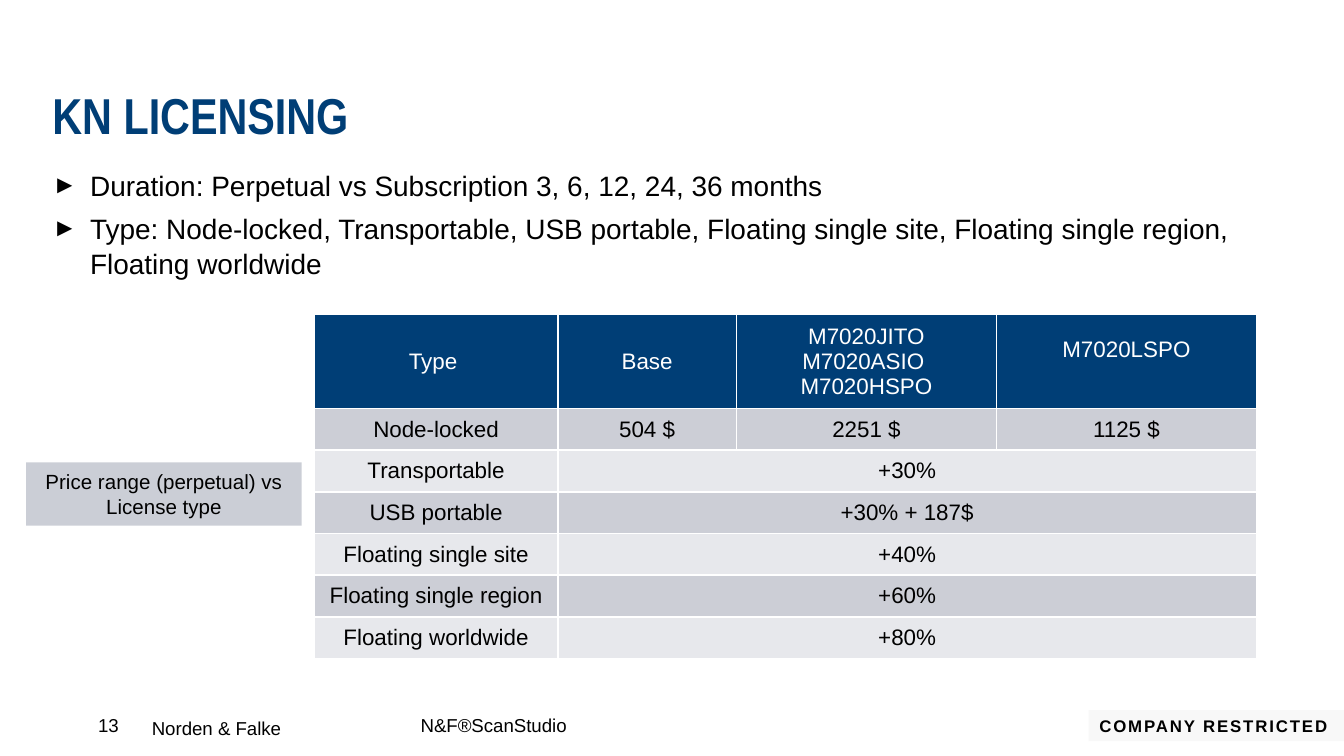
from dataclasses import dataclass
from typing import Any

from lxml.etree import SubElement
from pptx import Presentation
from pptx.dml.color import RGBColor
from pptx.enum.shapes import MSO_SHAPE
from pptx.enum.text import MSO_ANCHOR, MSO_AUTO_SIZE, PP_ALIGN
from pptx.oxml.ns import qn
from pptx.util import Emu, Inches, Pt

WIDTH = Inches(10)
HEIGHT = Emu(WIDTH * 9 // 16)
COLORS = {
    "navy": "003E76", "ink": "000000", "paper": "FFFFFF",
    "band_dark": "CCCED6", "band_light": "E7E8EC",
    "callout": "CBCED6", "stamp": "F8F8F8",
}
BULLETS = [
    "Duration: Perpetual vs Subscription 3, 6, 12, 24, 36 months",
    "Type: Node-locked, Transportable, USB portable, Floating single site, "
    "Floating single region, Floating worldwide",
]
PRICES = [
    ["Type ", "Base", "M7020JITO\vM7020ASIO \vM7020HSPO", "M7020LSPO"],
    ["Node-locked", "504 $", "2251 $", "1125 $"],
    ["Transportable", "+30%"],
    ["USB portable", "+30% + 187$"],
    ["Floating single site", "+40%"],
    ["Floating single region", "+60%"],
    ["Floating worldwide", "+80%"],
]
COLUMN_SHARES = [18.1, 13.3, 19.35, 19.35]
HEADER_SHARE, ROW_SHARE = 12.27, 5.51


@dataclass(frozen=True)
class Area:
    """Place and size in percent of the slide's width and height."""
    left: float
    top: float
    width: float
    height: float

    def lengths(self) -> tuple[Emu, Emu, Emu, Emu]:
        """Return left, top, width and height as lengths."""
        return (across(self.left), down(self.top),
                across(self.width), down(self.height))


@dataclass(frozen=True)
class Label:
    """A short text with its area and look."""
    text: str
    area: Area
    size: float
    fill: str | None = None
    align: PP_ALIGN = PP_ALIGN.LEFT
    bold: bool = False
    wrap: bool = False
    line_spacing: float = 1.0
    letter_spacing: int = 0
    insets: tuple[float, float] = (0, 0)


LABELS = [
    Label("Norden & Falke", Area(10, 94.2, 12.2, 3.02), 10,
          align=PP_ALIGN.CENTER, wrap=True, line_spacing=1.2),
    Label("N&F®ScanStudio", Area(31.3, 94.48, 32.3, 2.67), 10),
    Label("13", Area(7.3, 94.48, 2.8, 2.67), 10),
    Label("COMPANY RESTRICTED", Area(81, 93.95, 19, 4.09), 9, fill="stamp",
          bold=True, letter_spacing=100, insets=(0.08, 0.04)),
    Label("Price range (perpetual) vs License type",
          Area(1.95, 61.18, 20.5, 8.36), 11, fill="callout",
          align=PP_ALIGN.CENTER, wrap=True, insets=(0.1, 0.05)),
]


def across(percent: float) -> Emu:
    """Return a share of the slide's width."""
    return Emu(round(WIDTH * percent / 100))


def down(percent: float) -> Emu:
    """Return a share of the slide's height."""
    return Emu(round(HEIGHT * percent / 100))


def color(name: str) -> RGBColor:
    """Return a named color."""
    return RGBColor.from_string(COLORS[name])


def set_insets(frame: Any, horizontal: float, vertical: float) -> None:
    """Set the inner margins of a text frame in inches."""
    frame.margin_left = frame.margin_right = Inches(horizontal)
    frame.margin_top = frame.margin_bottom = Inches(vertical)


def style_runs(paragraph: Any, size: float, ink: str = "ink",
               bold: bool = False, face: str = "Arial") -> None:
    """Format every run of a paragraph."""
    for run in paragraph.runs:
        run.font.name, run.font.size, run.font.bold = face, Pt(size), bold
        run.font.color.rgb = color(ink)


def add_title(slide: Any, text: str, area: Area) -> None:
    """Fill and place the title placeholder."""
    title = slide.shapes.title
    title.left, title.top, title.width, title.height = area.lengths()
    frame = title.text_frame
    frame.text = text
    frame.auto_size = MSO_AUTO_SIZE.NONE
    frame.vertical_anchor = MSO_ANCHOR.BOTTOM
    set_insets(frame, 0, 0)
    heading = frame.paragraphs[0]
    heading.alignment, heading.line_spacing = PP_ALIGN.LEFT, 0.85
    style_runs(heading, 27, "navy", True, "Arial Narrow")


def add_bullets(slide: Any, items: list[str], area: Area) -> None:
    """Draw the list with arrow bullets."""
    frame = slide.shapes.add_textbox(*area.lengths()).text_frame
    frame.word_wrap = True
    set_insets(frame, 0, 0)
    frame.text = "\n".join(items)
    for item in frame.paragraphs:
        item.line_spacing, item.space_after = 1.05, Pt(4)
        properties = item._p.get_or_add_pPr()
        properties.set("marL", str(Inches(0.28)))
        properties.set("indent", str(-Inches(0.28)))
        SubElement(properties, qn("a:buSzPct"), val="90000")
        SubElement(properties, qn("a:buFont"), typeface="Arial")
        SubElement(properties, qn("a:buChar"), char="►")
        style_runs(item, 15)


def add_label(slide: Any, label: Label) -> None:
    """Draw a label, on a filled rectangle where it has a fill."""
    if label.fill:
        holder = slide.shapes.add_shape(MSO_SHAPE.RECTANGLE, *label.area.lengths())
        holder.shadow.inherit = False
        holder.fill.solid()
        holder.fill.fore_color.rgb = color(label.fill)
        holder.line.fill.background()
        holder.text_frame.vertical_anchor = MSO_ANCHOR.MIDDLE
    else:
        holder = slide.shapes.add_textbox(*label.area.lengths())
    frame = holder.text_frame
    frame.word_wrap = label.wrap
    set_insets(frame, *label.insets)
    frame.text = label.text
    line = frame.paragraphs[0]
    line.alignment, line.line_spacing = label.align, label.line_spacing
    style_runs(line, label.size, bold=label.bold)
    if label.letter_spacing:
        for run in line.runs:
            run.font._element.set("spc", str(label.letter_spacing))


def style_cell(cell: Any, fill: str) -> None:
    """Give a cell white borders and a plain fill."""
    properties = cell._tc.get_or_add_tcPr()
    for side in "LRTB":
        border = SubElement(properties, qn(f"a:ln{side}"), w=str(Pt(1)))
        paint = SubElement(border, qn("a:solidFill"))
        SubElement(paint, qn("a:srgbClr"), val=COLORS["paper"])
    cell.fill.solid()
    cell.fill.fore_color.rgb = color(fill)
    cell.vertical_anchor = MSO_ANCHOR.MIDDLE


def add_prices(slide: Any, rows: list[list[str]], left: float, top: float) -> None:
    """Draw the price table; short rows merge their last value rightwards."""
    area = Area(left, top, sum(COLUMN_SHARES),
                HEADER_SHARE + ROW_SHARE * (len(rows) - 1))
    last = len(COLUMN_SHARES) - 1
    table = slide.shapes.add_table(len(rows), last + 1, *area.lengths()).table
    for column, share in zip(table.columns, COLUMN_SHARES):
        column.width = across(share)
    for index, values in enumerate(rows):
        header = index == 0
        table.rows[index].height = down(HEADER_SHARE if header else ROW_SHARE)
        band = "band_dark" if index % 2 else "band_light"
        for cell in table.rows[index].cells:
            style_cell(cell, "navy" if header else band)
        if len(values) <= last:
            table.cell(index, len(values) - 1).merge(table.cell(index, last))
        for position, value in enumerate(values):
            cell = table.cell(index, position)
            cell.text_frame.text = value
            entry = cell.text_frame.paragraphs[0]
            entry.alignment = PP_ALIGN.CENTER
            style_runs(entry, 12, "paper" if header else "ink")
    table.cell(0, last).margin_bottom = Inches(0.23)


def main() -> None:
    """Build the licensing slide."""
    deck = Presentation()
    deck.slide_width, deck.slide_height = WIDTH, HEIGHT
    slide = deck.slides.add_slide(deck.slide_layouts[5])
    add_title(slide, "KN LICENSING", Area(3.9, 5.52, 92.9, 13.7))
    add_bullets(slide, BULLETS, Area(3.9, 22.06, 92.9, 68.68))
    add_prices(slide, PRICES, 23.4, 41.6)
    for label in LABELS:
        add_label(slide, label)
    deck.save("out.pptx")


if __name__ == "__main__":
    main()
